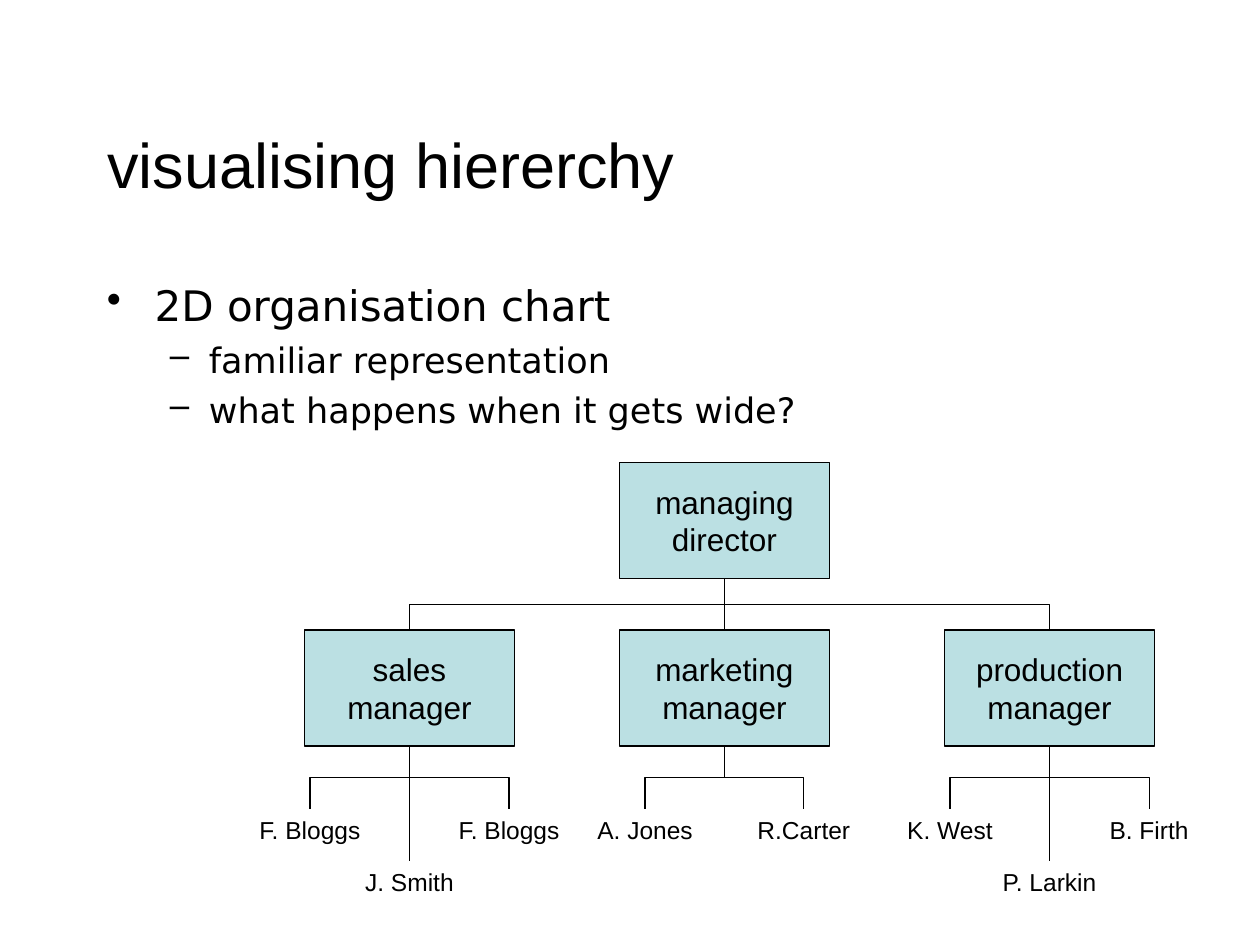
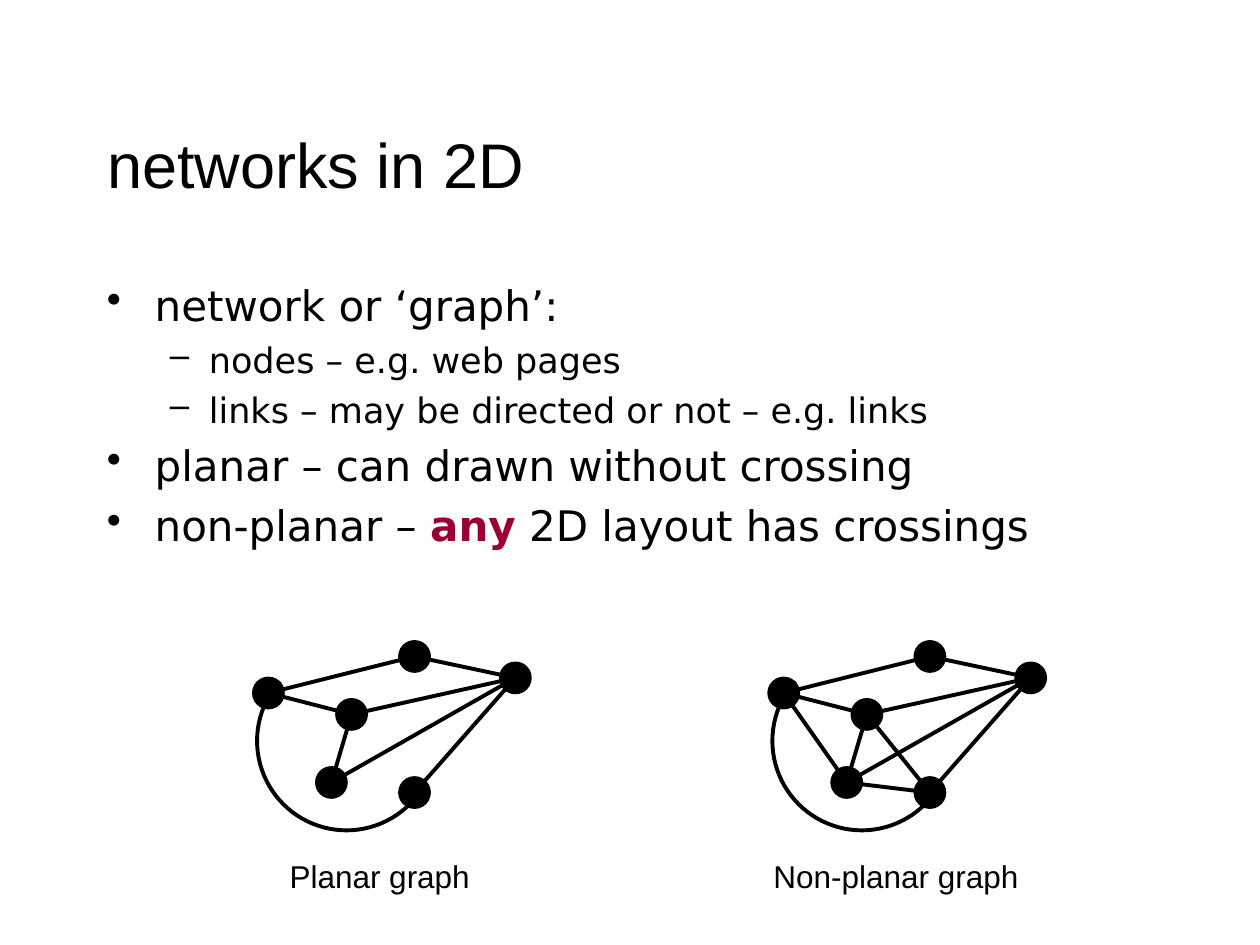
from dataclasses import dataclass

from pptx import Presentation
from pptx.dml.color import RGBColor
from pptx.enum.shapes import MSO_CONNECTOR as Link, MSO_SHAPE as Preset
from pptx.enum.text import MSO_ANCHOR as Anchor, MSO_AUTO_SIZE as AutoSize, PP_ALIGN as Align
from pptx.oxml.ns import qn
from pptx.shapes.autoshape import Shape
from pptx.shapes.connector import Connector
from pptx.slide import Slide
from pptx.text.text import Font
from pptx.util import Inches, Pt

BLACK = "000000"
WHITE = "FFFFFF"
PALE_TEAL = "BBE0E3"
CRIMSON = "990033"
HEADING_FONT = "Arial"
BODY_FONT = "DejaVu Sans"
THIN = 0.75
THICK = 2.25
LINE_GAP = 0.23


@dataclass(frozen=True)
class BulletStyle:
    mark: str
    size: float
    margin: float
    hang: float


@dataclass(frozen=True)
class Bullet:
    level: int
    spans: tuple[str, ...]
    emphasis: str = ""


@dataclass(frozen=True)
class Manager:
    title: str
    centre: float
    left_staff: str
    right_staff: str
    spread: float
    lower_staff: str = ""


@dataclass(frozen=True)
class Graph:
    caption: str
    caption_left: float
    caption_width: float
    shift: float
    edges: tuple[tuple[str, str], ...]


BULLET_STYLES = (BulletStyle("•", 24, 0.38, 0.38), BulletStyle("–", 20, 0.81, 0.31))

HIERARCHY_BULLETS = (
    Bullet(0, ("2D organisation chart",)),
    Bullet(1, ("familiar representation",)),
    Bullet(1, ("what happens when it gets wide?",)),
)
NETWORK_BULLETS = (
    Bullet(0, ("network or ‘graph’:",)),
    Bullet(1, ("nodes – e.g. web pages",)),
    Bullet(1, ("links – may be directed or not – e.g. links",)),
    Bullet(0, ("planar – can drawn without crossing",)),
    Bullet(0, ("non-planar – ", "any", " 2D layout has crossings"), "any"),
)

POST_WIDTH, POST_HEIGHT = 1.67, 0.92
STAFF_HEIGHT = 0.33
DIRECTOR_CENTRE, DIRECTOR_TOP = 5.75, 3.67
MANAGER_TOP, STAFF_TOP, LOWER_STAFF_TOP = 5.0, 6.42, 6.83
MANAGERS = (
    Manager("sales\vmanager", 3.25, "F. Bloggs", "F. Bloggs", 0.79, "J. Smith"),
    Manager("marketing\vmanager", 5.75, "A. Jones", "R.Carter", 0.63),
    Manager("production\vmanager", 8.33, "K. West", "B. Firth", 0.79, "P. Larkin"),
)

NODE_SIZE = 0.25
NODES = {
    "right": (4.09, 5.38),
    "inner": (2.79, 5.67),
    "top": (3.29, 5.21),
    "left": (2.13, 5.5),
    "lower right": (3.29, 6.29),
    "lower left": (2.63, 6.21),
}
PLANAR_EDGES = (
    ("left", "inner"),
    ("lower left", "inner"),
    ("lower left", "right"),
    ("left", "top"),
    ("right", "top"),
    ("right", "inner"),
    ("right", "lower right"),
)
CROSSING_EDGES = (
    ("lower left", "lower right"),
    ("lower left", "left"),
    ("inner", "lower right"),
)
GRAPHS = (
    Graph("Non-planar graph", 6.04, 2.15, 4.09, PLANAR_EDGES + CROSSING_EDGES),
    Graph("Planar graph", 2.2, 1.63, 0, PLANAR_EDGES),
)


def colour(code: str) -> RGBColor:
    return RGBColor.from_string(code)


def set_font(font: Font, name: str, size: float) -> None:
    font.name = name
    font.size = Pt(size)
    font.color.rgb = colour(BLACK)


def add_titled_slide(deck, title: str, bullets: tuple[Bullet, ...]) -> Slide:
    page = deck.slides.add_slide(deck.slide_layouts[5])
    heading = page.shapes.title
    heading.left, heading.top = Inches(0.75), Inches(0.67)
    heading.width, heading.height = Inches(7.5), Inches(1.25)
    heading.text_frame.vertical_anchor = Anchor.MIDDLE
    para = heading.text_frame.paragraphs[0]
    para.text = title
    para.alignment = Align.LEFT
    set_font(para.font, HEADING_FONT, 36)
    add_bullets(page, bullets)
    return page


def add_bullets(page: Slide, bullets: tuple[Bullet, ...]) -> None:
    box = page.shapes.add_textbox(Inches(0.75), Inches(2.17), Inches(8.5), Inches(4.5))
    frame = box.text_frame
    frame.word_wrap = True
    for index, bullet in enumerate(bullets):
        para = frame.add_paragraph() if index else frame.paragraphs[0]
        style = BULLET_STYLES[bullet.level]
        para.level = bullet.level
        properties = para._p.get_or_add_pPr()
        properties.set("marL", str(Inches(style.margin)))
        properties.set("indent", str(-Inches(style.hang)))
        properties.makeelement(qn("a:buChar"), {})
        mark = properties.makeelement(qn("a:buChar"), {"char": style.mark})
        properties.append(mark)
        if index:
            para.space_before = Pt(style.size * LINE_GAP)
        set_font(para.font, BODY_FONT, style.size)
        for words in bullet.spans:
            span = para.add_run()
            span.text = words
            if words == bullet.emphasis:
                span.font.bold = True
                span.font.color.rgb = colour(CRIMSON)


def add_figure(page: Slide, preset: Preset, left: float, top: float, width: float,
               height: float, fill: str, line_width: float = 0) -> Shape:
    figure = page.shapes.add_shape(
        preset, Inches(left), Inches(top), Inches(width), Inches(height))
    figure.shadow.inherit = False
    figure.fill.solid()
    figure.fill.fore_color.rgb = colour(fill)
    if line_width:
        figure.line.color.rgb = colour(BLACK)
        figure.line.width = Pt(line_width)
    else:
        figure.line.fill.background()
    return figure


def add_label_box(page: Slide, text: str, centre: float, top: float, width: float,
                  height: float, fill: str, size: float, line_width: float = 0) -> None:
    box = add_figure(page, Preset.RECTANGLE, centre - width / 2, top, width, height,
                     fill, line_width)
    frame = box.text_frame
    frame.word_wrap = False
    frame.vertical_anchor = Anchor.MIDDLE
    frame.text = text
    for para in frame.paragraphs:
        para.alignment = Align.CENTER
        set_font(para.font, HEADING_FONT, size)


def add_post(page: Slide, text: str, centre: float, top: float) -> None:
    add_label_box(page, text, centre, top, POST_WIDTH, POST_HEIGHT, PALE_TEAL, 18, THIN)


def add_staff(page: Slide, name: str, centre: float, top: float, width: float) -> None:
    add_label_box(page, name, centre, top, width, STAFF_HEIGHT, WHITE, 14)


def add_line(page: Slide, kind: Link, start: tuple[float, float],
             end: tuple[float, float], width: float) -> Connector:
    line = page.shapes.add_connector(kind, *map(Inches, start + end))
    line.line.color.rgb = colour(BLACK)
    line.line.width = Pt(width)
    properties = line.element.spPr
    properties.append(properties.makeelement(qn("a:effectLst"), {}))
    return line


def add_branch(page: Slide, start: tuple[float, float], end: tuple[float, float]) -> None:
    run = end[0] - start[0]
    if run == 0:
        add_line(page, Link.STRAIGHT, start, end, THIN)
        return
    middle_x, middle_y = (start[0] + end[0]) / 2, (start[1] + end[1]) / 2
    half_run = abs(run) / 2
    half_drop = (end[1] - start[1]) / 2 * (1 if run < 0 else -1)
    branch = add_line(page, Link.ELBOW, (middle_x - half_drop, middle_y - half_run),
                      (middle_x + half_drop, middle_y + half_run), THIN)
    degrees = 90 if run < 0 else 270
    branch.element.spPr.xfrm.set("rot", str(degrees * 60000))


def add_department(page: Slide, manager: Manager) -> None:
    centre = manager.centre
    foot = (centre, MANAGER_TOP + POST_HEIGHT)
    add_post(page, manager.title, centre, MANAGER_TOP)
    sides = ((manager.left_staff, centre - manager.spread),
             (manager.right_staff, centre + manager.spread))
    for name, staff_centre in sides:
        add_staff(page, name, staff_centre, STAFF_TOP, 1.25)
        add_branch(page, foot, (staff_centre, STAFF_TOP))
    if manager.lower_staff:
        add_staff(page, manager.lower_staff, centre, LOWER_STAFF_TOP, 1.33)
        add_branch(page, foot, (centre, LOWER_STAFF_TOP))


def add_organisation_chart(page: Slide) -> None:
    add_post(page, "managing\ndirector", DIRECTOR_CENTRE, DIRECTOR_TOP)
    foot = (DIRECTOR_CENTRE, DIRECTOR_TOP + POST_HEIGHT)
    for manager in MANAGERS:
        add_department(page, manager)
        add_branch(page, foot, (manager.centre, MANAGER_TOP))


def add_graph(page: Slide, graph: Graph) -> None:
    add_figure(page, Preset.OVAL, 2.04 + graph.shift, 5.17, 1.42, 1.42, WHITE, THICK)
    arc_mask = add_figure(page, Preset.RIGHT_TRIANGLE, 1.83 + graph.shift, 5.12,
                          1.71, 1.25, WHITE)
    arc_mask.rotation = 180
    centres = {name: (x + graph.shift, y) for name, (x, y) in NODES.items()}
    for x, y in centres.values():
        add_figure(page, Preset.OVAL, x - NODE_SIZE / 2, y - NODE_SIZE / 2,
                   NODE_SIZE, NODE_SIZE, BLACK, THIN)
    for start, end in graph.edges:
        add_line(page, Link.STRAIGHT, centres[start], centres[end], THICK)
    add_caption(page, graph)


def add_caption(page: Slide, graph: Graph) -> None:
    box = page.shapes.add_textbox(Inches(graph.caption_left), Inches(6.75),
                                  Inches(graph.caption_width), Inches(0.4))
    frame = box.text_frame
    frame.word_wrap = False
    frame.auto_size = AutoSize.SHAPE_TO_FIT_TEXT
    para = frame.paragraphs[0]
    para.text = graph.caption
    set_font(para.font, HEADING_FONT, 18)


def main() -> None:
    deck = Presentation()
    deck.slide_width, deck.slide_height = Inches(10), Inches(7.5)
    hierarchy_page = add_titled_slide(deck, "visualising hiererchy", HIERARCHY_BULLETS)
    add_organisation_chart(hierarchy_page)
    network_page = add_titled_slide(deck, "networks in 2D", NETWORK_BULLETS)
    for graph in GRAPHS:
        add_graph(network_page, graph)
    deck.save("out.pptx")


if __name__ == "__main__":
    main()
